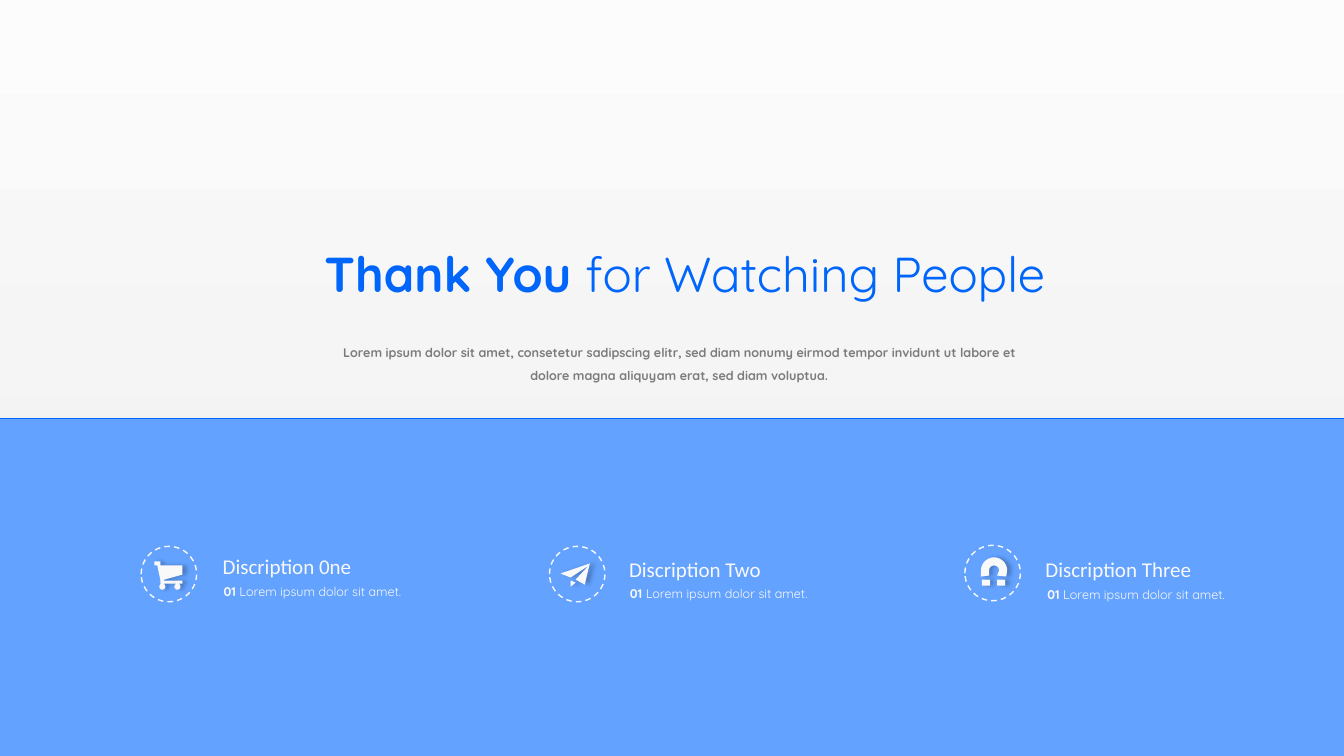
"""Build the closing slide with three described icons."""
import copy
import math
from dataclasses import dataclass
from typing import Any

import lxml.etree
import pptx
import pptx.dml.color
import pptx.dml.fill
import pptx.enum.dml
import pptx.enum.shapes
import pptx.enum.text
import pptx.oxml.ns
import pptx.shapes.base
import pptx.slide
import pptx.util
from pptx.util import Inches

RGBColor = pptx.dml.color.RGBColor
qn = pptx.oxml.ns.qn
BLUE = RGBColor(0x00, 0x65, 0xFA)
PANEL_BLUE = RGBColor(0x63, 0xA2, 0xFF)
OFF_WHITE = RGBColor(0xF9, 0xF9, 0xF9)
GRAY = RGBColor(0x7C, 0x7C, 0x7C)
BACKGROUND_STOPS = (
    (0, RGBColor(0xFC, 0xFC, 0xFC)),
    (0.5, RGBColor(0xF5, 0xF5, 0xF5)),
    (1, RGBColor(0xCC, 0xCC, 0xCC)),
)
SLIDE_WIDTH, SLIDE_HEIGHT, PANEL_TOP = 13.33, 7.5, 4.15
CIRCLE_SIZE = 0.55

Point = tuple[float, float]
Contour = list[Point]


@dataclass(frozen=True)
class TextStyle:
    font: str
    size: float
    color: RGBColor
    line_spacing: float = 1.0
    alignment: Any = pptx.enum.text.PP_ALIGN.LEFT


@dataclass(frozen=True)
class Feature:
    title: str
    circle: Point
    title_at: Point
    detail_at: Point
    icon: list[Contour]


HEADING = TextStyle("Quicksand", 35, BLUE)
INTRO = TextStyle("Quicksand", 9, GRAY, 1.5, pptx.enum.text.PP_ALIGN.CENTER)
FEATURE_TITLE = TextStyle("Calibri", 15, OFF_WHITE)
FEATURE_DETAIL = TextStyle("Quicksand", 9, OFF_WHITE, 1.5)


def arc(center: Point, radius: float, start: int, end: int, steps: int = 24) -> Contour:
    """Return points along an arc, with angles in degrees."""
    angles = [math.radians(start + (end - start) * step / steps) for step in range(steps + 1)]
    return [(center[0] + radius * math.cos(a), center[1] + radius * math.sin(a)) for a in angles]


CART = [
    [(1.53, 5.57), (1.59, 5.57), (1.59, 5.61), (1.81, 5.61), (1.81, 5.7), (1.63, 5.75),
     (1.62, 5.76), (1.81, 5.76), (1.81, 5.79), (1.59, 5.79), (1.59, 5.75), (1.56, 5.61),
     (1.53, 5.61)],
    arc((1.61, 5.82), 0.03, 0, 360),
    arc((1.76, 5.82), 0.03, 0, 360),
]
PLANE = [
    [(5.85, 5.59), (5.56, 5.69), (5.66, 5.73), (5.84, 5.61), (5.71, 5.75), (5.8, 5.8)],
    [(5.66, 5.76), (5.71, 5.78), (5.66, 5.82)],
]
MAGNET = [
    [(9.73, 5.72), *arc((9.86, 5.66), 0.13, 180, 360), (9.98, 5.72), (9.89, 5.71),
     *arc((9.86, 5.66), 0.05, 360, 180), (9.81, 5.71)],
    [(9.74, 5.75), (9.82, 5.75), (9.82, 5.81), (9.74, 5.81)],
    [(9.89, 5.75), (9.97, 5.75), (9.97, 5.81), (9.89, 5.81)],
]
FEATURES = (
    Feature("Discription 0ne", (1.4, 5.42), (2.11, 5.44), (2.12, 5.67), CART),
    Feature("Discription Two", (5.45, 5.42), (6.14, 5.47), (6.15, 5.69), PLANE),
    Feature("Discription Three", (9.57, 5.41), (10.27, 5.47), (10.29, 5.7), MAGNET),
)


def set_attributes(target: Any, values: dict[str, Any]) -> None:
    """Set each named attribute on the target."""
    for name, value in values.items():
        setattr(target, name, value)


def paint_background(slide: pptx.slide.Slide) -> None:
    """Fill the background with a vertical three-stop gradient."""
    fill = slide.background.fill
    fill.gradient()
    fill.gradient_angle = 270
    stop_list = slide.element.find(".//" + qn("a:gsLst"))
    stop_list.append(copy.deepcopy(stop_list[-1]))
    for stop, (position, color) in zip(fill.gradient_stops, BACKGROUND_STOPS):
        stop.position = position
        stop.color.rgb = color


def paint_solid(fill: pptx.dml.fill.FillFormat, color: RGBColor) -> None:
    """Apply a solid colour."""
    fill.solid()
    fill.fore_color.rgb = color


def add_text(slide: pptx.slide.Slide, position: Point, size: Point,
             runs: list[tuple[str, bool]], style: TextStyle) -> None:
    """Add a one-paragraph text box."""
    box = slide.shapes.add_textbox(*map(Inches, position + size))
    set_attributes(box.text_frame, {
        "word_wrap": True,
        "auto_size": pptx.enum.text.MSO_AUTO_SIZE.SHAPE_TO_FIT_TEXT,
    })
    paragraph = box.text_frame.paragraphs[0]
    set_attributes(paragraph, {"alignment": style.alignment, "line_spacing": style.line_spacing})
    for text, bold in runs:
        run = paragraph.add_run()
        run.text = text
        set_attributes(run.font, {
            "name": style.font, "size": pptx.util.Pt(style.size), "bold": bold,
        })
        run.font.color.rgb = style.color


def add_panel(slide: pptx.slide.Slide) -> None:
    """Add the lower blue panel and its top rule."""
    panel = slide.shapes.add_shape(
        pptx.enum.shapes.MSO_SHAPE.RECTANGLE, 0, Inches(PANEL_TOP),
        Inches(SLIDE_WIDTH), Inches(SLIDE_HEIGHT - PANEL_TOP))
    panel.shadow.inherit = False
    paint_solid(panel.fill, PANEL_BLUE)
    panel.line.fill.background()
    rule = slide.shapes.add_connector(
        pptx.enum.shapes.MSO_CONNECTOR.STRAIGHT,
        Inches(SLIDE_WIDTH), Inches(PANEL_TOP), 0, Inches(PANEL_TOP))
    rule.line.width = pptx.util.Pt(0.5)
    rule.line.color.rgb = BLUE
    lxml.etree.SubElement(rule.element.spPr, qn("a:effectLst"))


def add_soft_shadow(shape: pptx.shapes.base.BaseShape) -> None:
    """Cast a faint black shadow to the right."""
    shape.shadow.inherit = False
    effects = shape.element.spPr.find(qn("a:effectLst"))
    distance = str(pptx.util.Pt(3))
    shadow = lxml.etree.SubElement(
        effects, qn("a:outerShdw"), blurRad=distance, dist=distance, dir="0")
    color = lxml.etree.SubElement(shadow, qn("a:srgbClr"), val="000000")
    lxml.etree.SubElement(color, qn("a:alpha"), val="23000")


def add_icon(slide: pptx.slide.Slide, contours: list[Contour]) -> None:
    """Draw closed contours as one shadowed shape."""
    outlines = [[(Inches(x), Inches(y)) for x, y in contour] for contour in contours]
    builder = slide.shapes.build_freeform(*outlines[0][0])
    for index, outline in enumerate(outlines):
        if index:
            builder.move_to(*outline[0])
        builder.add_line_segments(outline[1:], close=True)
    icon = builder.convert_to_shape()
    paint_solid(icon.fill, OFF_WHITE)
    icon.line.fill.background()
    add_soft_shadow(icon)


def add_feature(slide: pptx.slide.Slide, feature: Feature) -> None:
    """Add an icon in a dashed circle with its title and detail."""
    add_icon(slide, feature.icon)
    circle = slide.shapes.add_shape(
        pptx.enum.shapes.MSO_SHAPE.OVAL,
        *map(Inches, feature.circle + (CIRCLE_SIZE, CIRCLE_SIZE)))
    circle.shadow.inherit = False
    circle.fill.background()
    circle.line.color.rgb = OFF_WHITE
    set_attributes(circle.line, {
        "width": pptx.util.Pt(1), "dash_style": pptx.enum.dml.MSO_LINE.DASH,
    })
    add_text(slide, feature.title_at, (2.61, 0.35), [(feature.title, False)], FEATURE_TITLE)
    add_text(slide, feature.detail_at, (2, 0.56),
             [("01 ", True), ("Lorem ipsum dolor sit amet.", False)], FEATURE_DETAIL)


def main() -> None:
    """Build and save the presentation."""
    presentation = pptx.Presentation()
    set_attributes(presentation, {
        "slide_width": Inches(SLIDE_WIDTH), "slide_height": Inches(SLIDE_HEIGHT),
    })
    slide = presentation.slides.add_slide(presentation.slide_layouts[6])
    paint_background(slide)
    add_panel(slide)
    for feature in FEATURES:
        add_feature(slide, feature)
    add_text(slide, (3.22, 3.3), (7.03, 0.56), [(
        "Lorem ipsum dolor sit amet, consetetur sadipscing elitr, sed diam nonumy eirmod tempor "
        "invidunt ut labore et dolore magna aliquyam erat, sed diam voluptua.", True)], INTRO)
    add_text(slide, (3.12, 2.37), (8.4, 0.68),
             [("Thank You ", True), ("for Watching People", False)], HEADING)
    presentation.save("out.pptx")


if __name__ == "__main__":
    main()
